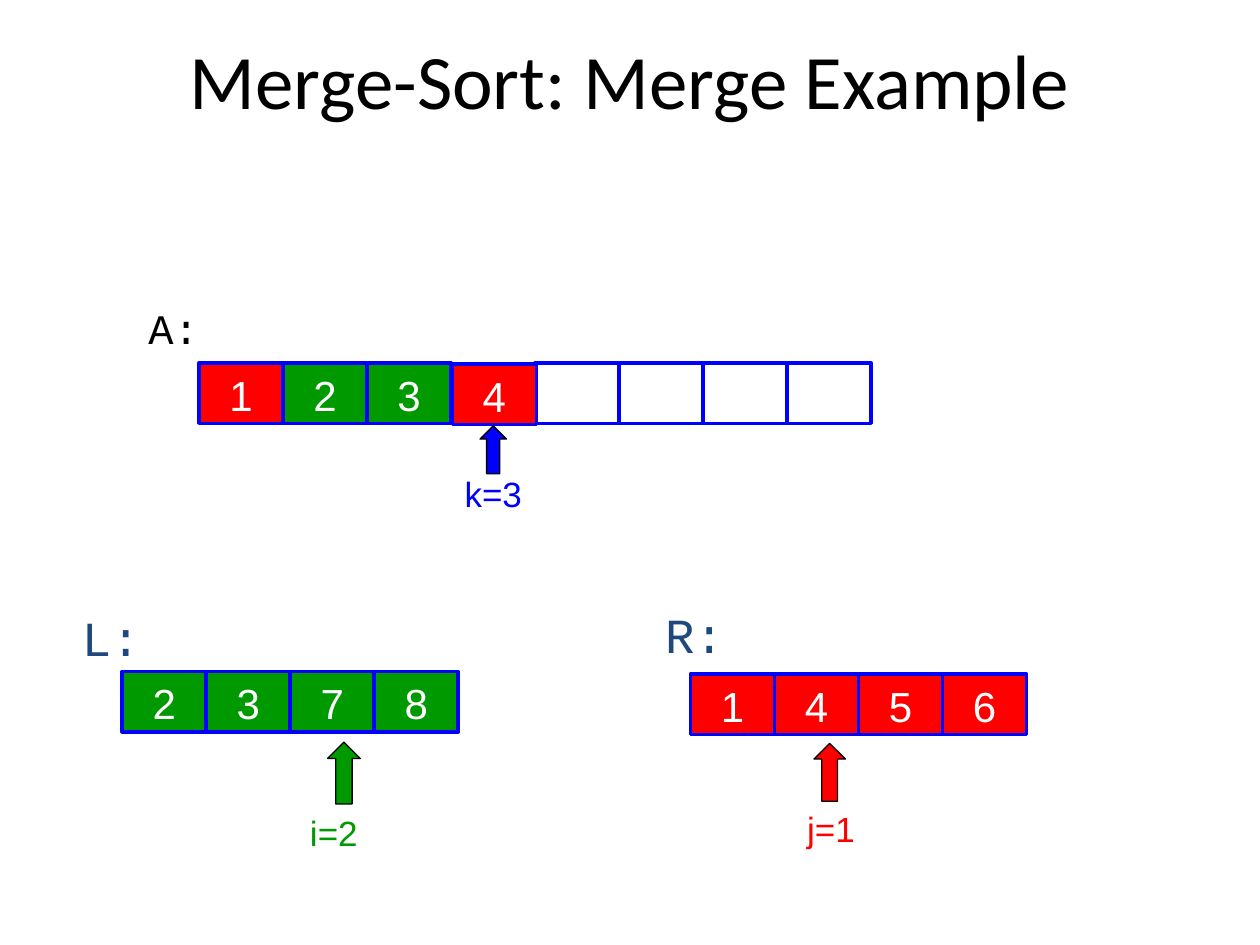
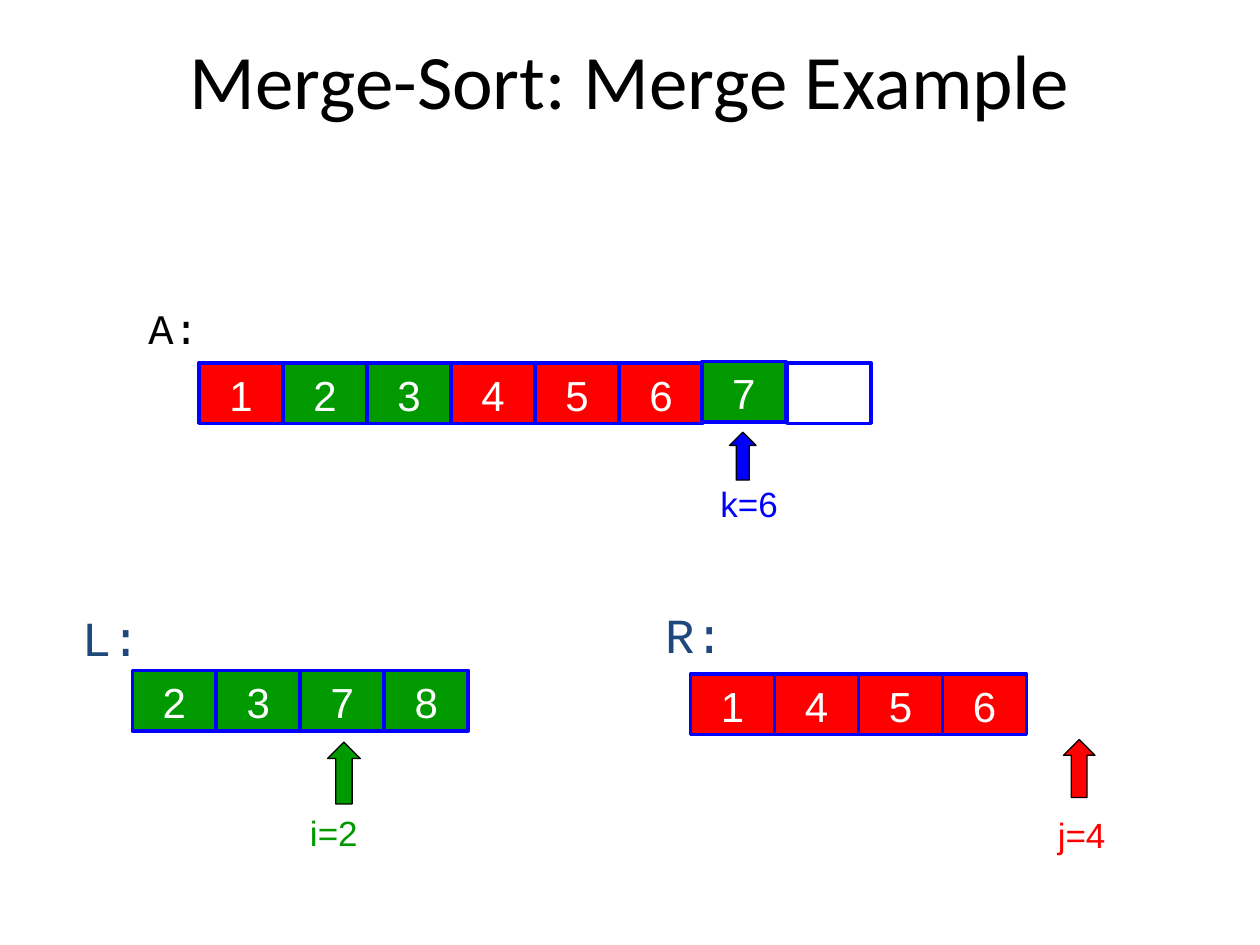
from pptx import Presentation
from pptx.dml.color import RGBColor
from pptx.enum.shapes import MSO_SHAPE
from pptx.enum.text import MSO_ANCHOR, PP_ALIGN
from pptx.util import Inches, Pt

RECT, UP_ARROW = MSO_SHAPE.RECTANGLE, MSO_SHAPE.UP_ARROW
LEFT, CENTER = PP_ALIGN.LEFT, PP_ALIGN.CENTER
TOP, MIDDLE = MSO_ANCHOR.TOP, MSO_ANCHOR.MIDDLE

RED, GREEN, BLUE = "FF0000", "009900", "0000FF"
WHITE, BLACK, NAVY = "FFFFFF", "000000", "1F497D"

TITLE = "Merge-Sort: Merge Example"
LEFT_VALUES = [2, 3, 7, 8]
RIGHT_VALUES = [1, 4, 5, 6]
MERGED = sorted(LEFT_VALUES + RIGHT_VALUES)
CELL_W, CELL_H = 2 / 3, 0.48
A_X, A_Y = 1.58, 2.88
R_X, R_Y = 5.48, 5.35

ARRAY_LABELS = [
    ("L:", (0.65, 4.77, 0.47, 0.57), 28, NAVY, 0),
    ("A:", (1.08, 2.35, 0.69, 0.5), 24, BLACK, 0.1),
    ("R:", (5.28, 4.75, 0.47, 0.57), 28, NAVY, 0),
]
ARROW_SIZES = {"i": (0.26, 0.49), "j": (0.25, 0.46), "k": (0.21, 0.38)}
INDEX_COLORS = {"i": GREEN, "j": RED, "k": BLUE}
LABEL_WIDTHS = {"i": 0.48, "j": 0.75, "k": 0.81}

STEPS = [
    {
        "left_at": (0.97, 5.33),
        "newest_at": (3.59, 2.89),
        "indices": {
            "i": (2, (2.6, 5.89), (2.41, 6.39)),
            "j": (1, (6.46, 5.9), (6.22, 6.36)),
            "k": (3, (3.81, 3.38), (3.51, 3.7)),
        },
    },
    {
        "left_at": (1.05, 5.32),
        "newest_at": (5.57, 2.87),
        "indices": {
            "i": (2, (2.6, 5.89), (2.41, 6.39)),
            "j": (4, (8.44, 5.87), (8.21, 6.41)),
            "k": (6, (5.79, 3.43), (5.54, 3.78)),
        },
    },
]


def rgb(color):
    return RGBColor.from_string(color)


def write(s, text, size, color, font="Arial", align=CENTER, anchor=TOP,
          side=0.1, bottom=0.05, wrap=True):
    tf = s.text_frame
    tf.word_wrap = wrap
    tf.vertical_anchor = anchor
    tf.margin_left = tf.margin_right = Inches(side)
    tf.margin_top, tf.margin_bottom = Inches(0.05), Inches(bottom)
    p = tf.paragraphs[0]
    p.alignment = align
    r = p.add_run()
    r.text = text
    r.font.name, r.font.size = font, Pt(size)
    r.font.color.rgb = rgb(color)


def add_label(slide, box, text, size, color, **fmt):
    s = slide.shapes.add_textbox(*map(Inches, box))
    write(s, text, size, color, **fmt)


def add_solid(slide, kind, box, fill, line, width):
    s = slide.shapes.add_shape(kind, *map(Inches, box))
    s.shadow.inherit = False
    s.fill.solid()
    s.fill.fore_color.rgb = rgb(fill)
    s.line.color.rgb = rgb(line)
    s.line.width = Pt(width)
    return s


def add_cell(slide, x, y, value=None):
    fill = GREEN if value in LEFT_VALUES else RED if value else WHITE
    s = add_solid(slide, RECT, (x, y, CELL_W, CELL_H), fill, BLUE, 2)
    if value:
        write(s, str(value), 24, WHITE, bottom=0)


def add_array(slide, x, y, values):
    for n, value in enumerate(values):
        add_cell(slide, x + n * CELL_W, y, value)


def add_index(slide, name, value, arrow_at, label_at):
    color = INDEX_COLORS[name]
    add_solid(slide, UP_ARROW, arrow_at + ARROW_SIZES[name], color, BLACK, 0.75)
    add_label(slide, label_at + (LABEL_WIDTHS[name], 0.43), f"{name}={value}",
              20, color, side=0 if name == "i" else 0.1, wrap=False)


def add_step(prs, step):
    slide = prs.slides.add_slide(prs.slide_layouts[6])
    add_label(slide, (0.75, 0, 8.5, 1.25), TITLE, 44, BLACK,
              font="Calibri", anchor=MIDDLE)
    for text, box, size, color, side in ARRAY_LABELS:
        add_label(slide, box, text, size, color, font="Courier New",
                  align=LEFT, side=side, wrap=False)

    k = step["indices"]["k"][0]
    add_array(slide, A_X, A_Y, MERGED[:k])
    add_array(slide, A_X + (k + 1) * CELL_W, A_Y, [None] * (len(MERGED) - k - 1))
    add_cell(slide, *step["newest_at"], MERGED[k])
    add_array(slide, *step["left_at"], LEFT_VALUES)
    add_array(slide, R_X, R_Y, RIGHT_VALUES)
    for name, (value, arrow_at, label_at) in step["indices"].items():
        add_index(slide, name, value, arrow_at, label_at)


def main():
    prs = Presentation()
    prs.slide_width, prs.slide_height = Inches(10), Inches(7.5)
    for step in STEPS:
        add_step(prs, step)
    prs.save("out.pptx")


if __name__ == "__main__":
    main()
